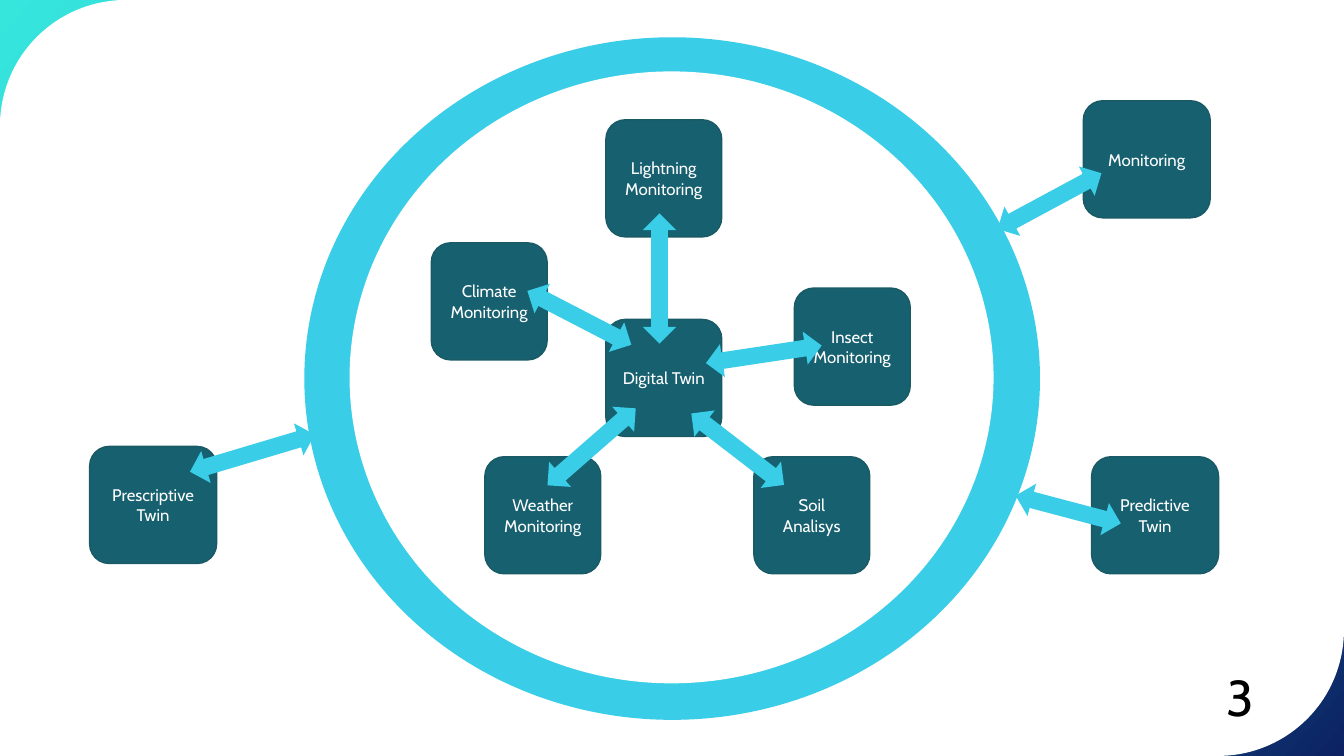
from copy import deepcopy
from dataclasses import dataclass

from pptx import Presentation
from pptx import util as u
from pptx.dml.color import RGBColor
from pptx.enum import shapes, text
from pptx.oxml.ns import qn
from pptx.shapes.autoshape import Shape
from pptx.slide import Slide

COLORS = {
    "teal": "36E6DD",
    "blue": "21ABC8",
    "navy": "0C2263",
    "cyan": "39CDE7",
    "box": "17606F",
    "box_line": "195A65",
    "white": "FFFFFF",
    "black": "000000",
}
FONT = "Cabin"
SLIDE_WIDTH, SLIDE_HEIGHT = 33.87, 19.05
BOX_HEIGHT = 2.95
INNER_WIDTH, OUTER_WIDTH = 2.92, 3.2
ARROW_HEIGHT = 0.84


@dataclass(frozen=True)
class Box:
    label: str
    left: float
    top: float
    width: float = INNER_WIDTH


@dataclass(frozen=True)
class Arrow:
    center_x: float
    center_y: float
    length: float
    angle: float


BOXES = [
    Box("Lightning Monitoring", 15.27, 3.02),
    Box("Digital Twin", 15.27, 8.05),
    Box("Insect Monitoring", 20.02, 7.26),
    Box("Soil Analisys", 19, 11.51),
    Box("Weather Monitoring", 12.22, 11.51),
    Box("Climate Monitoring", 10.87, 6.12),
    Box("Predictive Twin", 27.51, 11.51, OUTER_WIDTH),
    Box("Monitoring", 27.3, 2.54, OUTER_WIDTH),
    Box("Prescriptive Twin", 2.26, 11.25, OUTER_WIDTH),
]

ARROWS = [
    Arrow(16.62, 7.02, 3.28, 90),       # Lightning
    Arrow(19.25, 8.93, 2.95, -8.6),     # Insect
    Arrow(18.59, 11.32, 2.95, 37.6),    # Soil
    Arrow(14.91, 11.26, 2.95, -41.1),   # Weather
    Arrow(14.6, 8.01, 2.95, 27.4),      # Climate
    Arrow(26.92, 12.84, 2.74, 14.8),    # Predictive
    Arrow(26.45, 5.07, 2.97, -28.3),    # Monitoring
    Arrow(6.36, 11.42, 3.28, -16.6),    # Prescriptive
]


def color(name: str) -> RGBColor:
    return RGBColor.from_string(COLORS[name])


def paint_background(slide: Slide) -> None:
    fill = slide.background.fill
    fill.gradient()
    fill.gradient_angle = 318
    # A new gradient has two stops; add the third
    stop_list = slide.element.find(".//" + qn("a:gsLst"))
    stop_list.append(deepcopy(stop_list[-1]))
    for index, (stop, name) in enumerate(zip(fill.gradient_stops, ("teal", "blue", "navy"))):
        stop.color.rgb = color(name)
        stop.position = index / 2


def add_filled(slide: Slide, kind: shapes.MSO_SHAPE, left: float, top: float,
               width: float, height: float, fill: str) -> Shape:
    shape = slide.shapes.add_shape(kind, u.Cm(left), u.Cm(top), u.Cm(width), u.Cm(height))
    shape.shadow.inherit = False
    shape.fill.solid()
    shape.fill.fore_color.rgb = color(fill)
    shape.line.fill.background()
    return shape


def write(shape: Shape, words: str, size: int, font_color: str,
          alignment: text.PP_ALIGN) -> None:
    frame = shape.text_frame
    frame.text = words
    frame.word_wrap = True
    frame.vertical_anchor = text.MSO_ANCHOR.MIDDLE
    paragraph = frame.paragraphs[0]
    paragraph.alignment = alignment
    font = paragraph.runs[0].font
    font.name = FONT
    font.size = u.Pt(size)
    font.color.rgb = color(font_color)


def add_box(slide: Slide, box: Box) -> None:
    shape = add_filled(slide, shapes.MSO_SHAPE.ROUNDED_RECTANGLE,
                       box.left, box.top, box.width, BOX_HEIGHT, "box")
    shape.line.color.rgb = color("box_line")
    shape.line.width = u.Pt(1)
    write(shape, box.label, 12, "white", text.PP_ALIGN.CENTER)


def add_arrow(slide: Slide, arrow: Arrow) -> None:
    shape = add_filled(slide, shapes.MSO_SHAPE.LEFT_RIGHT_ARROW,
                       arrow.center_x - arrow.length / 2,
                       arrow.center_y - ARROW_HEIGHT / 2,
                       arrow.length, ARROW_HEIGHT, "cyan")
    shape.rotation = arrow.angle


def main() -> None:
    presentation = Presentation()
    presentation.slide_width = u.Cm(SLIDE_WIDTH)
    presentation.slide_height = u.Cm(SLIDE_HEIGHT)
    slide = presentation.slides.add_slide(presentation.slide_layouts[6])

    # Gradient corners behind a white panel
    paint_background(slide)
    add_filled(slide, shapes.MSO_SHAPE.ROUND_2_DIAG_RECTANGLE,
               0, 0, SLIDE_WIDTH, SLIDE_HEIGHT, "white")

    # Ring around the digital twin
    add_filled(slide, shapes.MSO_SHAPE.OVAL, 7.67, 0.94, 18.54, 17.2, "cyan")
    add_filled(slide, shapes.MSO_SHAPE.OVAL, 8.81, 1.8, 16.23, 15.42, "white")

    # Boxes and the arrows that link them
    for box in BOXES:
        add_box(slide, box)
    for arrow in ARROWS:
        add_arrow(slide, arrow)

    # Slide number
    number = slide.shapes.add_textbox(u.Cm(30.66), u.Cm(16.03), u.Cm(3.2), u.Cm(3.02))
    write(number, "3", 36, "black", text.PP_ALIGN.LEFT)

    presentation.save("out.pptx")


if __name__ == "__main__":
    main()
